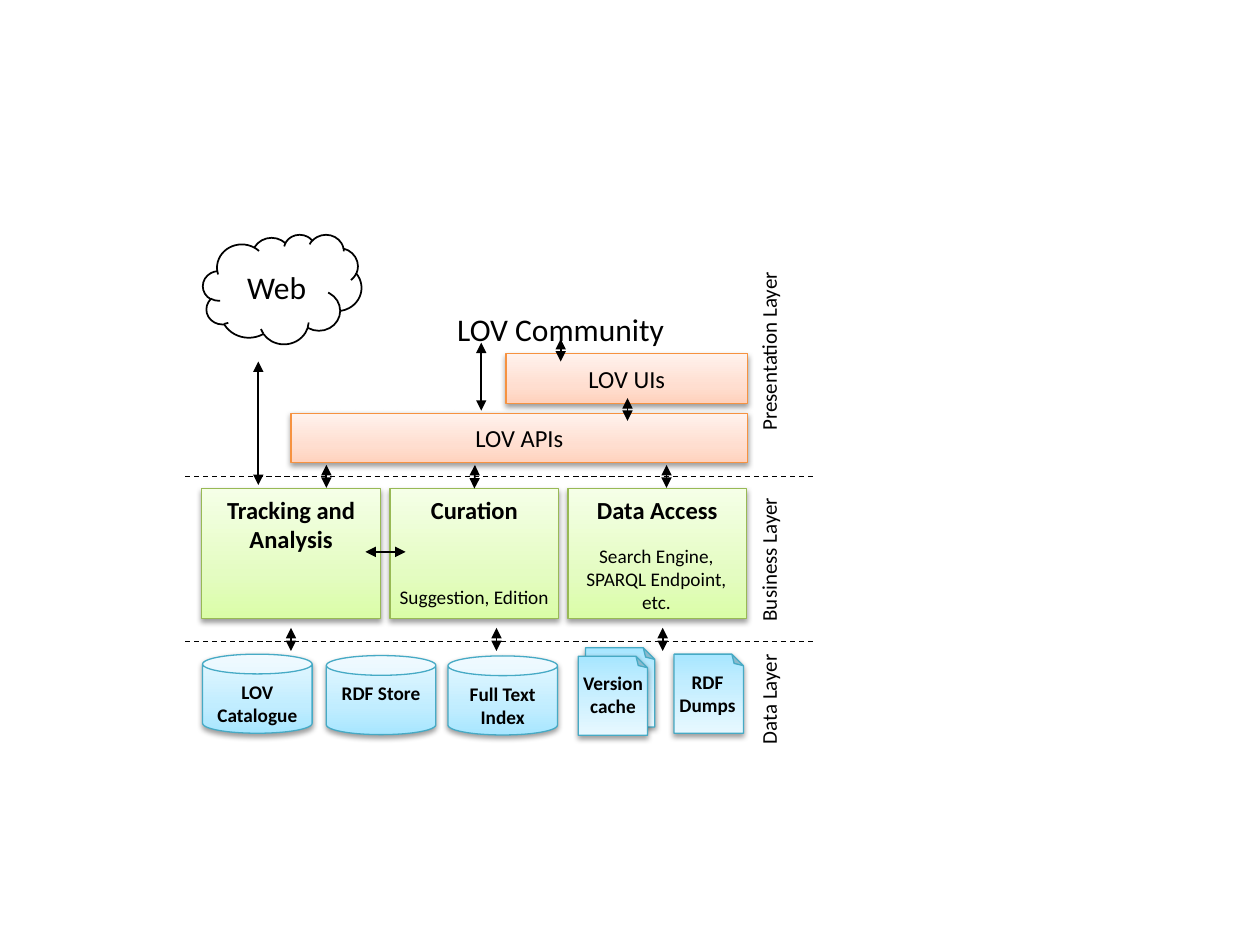
from copy import deepcopy

from pptx import Presentation
from pptx.dml.color import RGBColor
from pptx.enum.dml import MSO_LINE
from pptx.enum.shapes import MSO_CONNECTOR, MSO_SHAPE
from pptx.enum.text import MSO_ANCHOR, MSO_AUTO_SIZE, PP_ALIGN
from pptx.oxml import parse_xml
from pptx.oxml.ns import nsdecls, qn
from pptx.oxml.xmlchemy import OxmlElement
from pptx.util import Pt

COLORS = {"ink": "000000", "paper": "FFFFFF"}
LAYER_COLORS = {
    "presentation": {"line": "F69240", "stops": ["FFD2BD", "FFDED0", "FFF2ED"]},
    "business": {"line": "98B955", "stops": ["DAFDA7", "E4FCC2", "F5FFE7"]},
    "data": {"line": "46AAC5", "stops": ["A7E6FF", "C1EDFF", "E7F8FF"]},
}
STOP_POSITIONS = [0, 0.35, 1]
SHADOW = (
    f'<a:effectLst {nsdecls("a")}><a:outerShdw blurRad="40000" dist="20000" dir="5400000" '
    'rotWithShape="0"><a:srgbClr val="000000"><a:alpha val="38000"/></a:srgbClr>'
    "</a:outerShdw></a:effectLst>"
)
FORMATS = {
    "heading": {"name": "Calibri", "size": Pt(18), "bold": False},
    "interface": {"name": "Calibri", "size": Pt(14), "bold": False},
    "module": {"name": "Calibri", "size": Pt(14), "bold": True},
    "store": {"name": "Calibri", "size": Pt(11), "bold": True},
    "detail": {"name": "Calibri", "size": Pt(11), "bold": False},
    "layer": {"name": "Calibri", "size": Pt(12), "bold": False},
}

RIGHT_EDGE = 427.2
INTERFACES = [("LOV APIs", 236.2, 260.8), ("LOV UIs", 202.2, 138)]
MODULES = [
    (["Tracking and", "Analysis"], 102.4),
    (["Curation"], 96.4),
    (["Data Access"], 102),
]
MODULE_LEFT, MODULE_TOP, MODULE_HEIGHT, MODULE_GAP = 115.2, 279.2, 74.2, 5.3
STORES = [
    ("LOV Catalogue", 115.8, 373.8),
    ("RDF Store", 186.5, 374.6),
    ("Full Text Index", 256, 374.8),
]
STORE_SIZE = (62.6, 45.2)
DOCUMENTS = [
    (["RDF", "Dumps"], [(385.2, 373.8)], (380.7, 379.4, 47.2, 33.8)),
    (["Version cache"], [(334.6, 370.2), (330.4, 375)], (324.7, 380.2, 51.2, 33.8)),
]
PAGE_SIZE = (39.6, 45.2)
LAYERS = [
    ("Presentation Layer", 193.7, 118.8, PP_ALIGN.LEFT),
    ("Business Layer", 316.8, 90.7, PP_ALIGN.LEFT),
    ("Data Layer", 399.6, 67, PP_ALIGN.CENTER),
]
LAYER_CENTER, LAYER_HEIGHT = 439.2, 21.6
DETAILS = [
    (["Suggestion, Edition"], (221, 331.2, 100, 20.8), False),
    (["Search Engine,", "SPARQL Endpoint, etc."], (320.4, 307.4, 109.4, 47.5), True),
]
DIVIDERS = [272.2, 366.5]
DIVIDER_SPAN = (105.8, 465.8)
LINKS = [
    (231.8, 315.4, 208.8, 315.4),
    *[(x, 265.7, x, 278.8) for x in (186.5, 380.9)],
    *[(x, 358.8, x, 372) for x in (166.3, 283.7, 378.7)],
    (358.6, 227.5, 358.6, 240.5),
    (275, 195.8, 275, 234.7),
    (147.6, 277.2, 147.6, 206.6),
    (320.4, 193.7, 320.4, 206.6),
]
CURATION_LINK = (271.4, 265.7, 271.4, 279.2)


def rgb(value):
    return RGBColor.from_string(value)


def write(frame, lines, style, align=PP_ALIGN.CENTER, anchor=MSO_ANCHOR.TOP, wrap=True):
    frame.word_wrap = wrap
    frame.vertical_anchor = anchor
    for index, line in enumerate(lines):
        paragraph = frame.add_paragraph() if index else frame.paragraphs[0]
        paragraph.alignment = align
        run = paragraph.add_run()
        run.text = line
        for key, value in FORMATS[style].items():
            setattr(run.font, key, value)
        run.font.color.rgb = rgb(COLORS["ink"])


def add_label(canvas, bounds, lines, style, **options):
    label = canvas.add_textbox(*map(Pt, bounds))
    write(label.text_frame, lines, style, **options)
    label.text_frame.auto_size = MSO_AUTO_SIZE.SHAPE_TO_FIT_TEXT
    return label


def add_block(canvas, kind, bounds, layer):
    block = canvas.add_shape(kind, *map(Pt, bounds))
    colors = LAYER_COLORS[layer]
    block.fill.gradient()
    block.fill.gradient_angle = 90
    stop_list = block._element.spPr.find(qn("a:gradFill")).find(qn("a:gsLst"))
    stop_list.append(deepcopy(stop_list[-1]))
    for stop, color, position in zip(block.fill.gradient_stops, colors["stops"], STOP_POSITIONS):
        stop.color.rgb = rgb(color)
        stop.position = position
    block.line.color.rgb = rgb(colors["line"])
    block.line.width = Pt(0.75)
    block._element.spPr.append(parse_xml(SHADOW))
    return block


def add_line(canvas, ends, width, arrows=False):
    line = canvas.add_connector(MSO_CONNECTOR.STRAIGHT, *map(Pt, ends))
    line.line.color.rgb = rgb(COLORS["ink"])
    line.line.width = Pt(width)
    if arrows:
        for tag in ("a:headEnd", "a:tailEnd"):
            arrowhead = OxmlElement(tag)
            arrowhead.set("type", "triangle")
            line.line._get_or_add_ln().append(arrowhead)
    else:
        line.line.dash_style = MSO_LINE.DASH
    line._element.spPr.append(OxmlElement("a:effectLst"))
    return line


def main():
    """Build the layered architecture slide."""
    deck = Presentation()
    deck.slide_width, deck.slide_height = Pt(720), Pt(540)
    canvas = deck.slides.add_slide(deck.slide_layouts[6]).shapes

    for y in DIVIDERS:
        add_line(canvas, (DIVIDER_SPAN[0], y, DIVIDER_SPAN[1], y), 0.75)

    web = canvas.add_shape(MSO_SHAPE.CLOUD, *map(Pt, (116, 134, 90.6, 62.6)))
    web.shadow.inherit = False
    web.fill.solid()
    web.fill.fore_color.rgb = rgb(COLORS["paper"])
    web.line.color.rgb = rgb(COLORS["ink"])
    web.line.width = Pt(1)
    write(web.text_frame, ["Web"], "heading", anchor=MSO_ANCHOR.MIDDLE)
    add_label(canvas, (254.2, 173.5, 133.9, 29), ["LOV Community"], "heading",
              align=PP_ALIGN.LEFT, wrap=False)

    for name, top, width in INTERFACES:
        interface = add_block(canvas, MSO_SHAPE.RECTANGLE,
                              (RIGHT_EDGE - width, top, width, 28.2), "presentation")
        write(interface.text_frame, [name], "interface", anchor=MSO_ANCHOR.MIDDLE)

    modules = []
    left = MODULE_LEFT
    for lines, width in MODULES:
        module = add_block(canvas, MSO_SHAPE.RECTANGLE,
                           (left, MODULE_TOP, width, MODULE_HEIGHT), "business")
        write(module.text_frame, lines, "module")
        modules.append(module)
        left += width + MODULE_GAP

    for name, left, top in STORES:
        store = add_block(canvas, MSO_SHAPE.CAN, (left, top, *STORE_SIZE), "data")
        write(store.text_frame, [name], "store")

    for lines, pages, bounds in DOCUMENTS:
        document = canvas.add_group_shape().shapes
        for corner in pages:
            page = add_block(document, MSO_SHAPE.FOLDED_CORNER, (*corner, *PAGE_SIZE), "data")
            page._element.spPr.xfrm.set("flipV", "1")
        add_label(document, bounds, lines, "store")

    for name, middle, length, align in LAYERS:
        bounds = (LAYER_CENTER - length / 2, middle - LAYER_HEIGHT / 2, length, LAYER_HEIGHT)
        add_label(canvas, bounds, [name], "layer", align=align).rotation = 270

    for lines, bounds, wrap in DETAILS:
        add_label(canvas, bounds, lines, "detail", wrap=wrap)

    for ends in LINKS:
        add_line(canvas, ends, 1, arrows=True)
    add_line(canvas, CURATION_LINK, 1, arrows=True).end_connect(modules[1], 0)

    deck.save("out.pptx")


if __name__ == "__main__":
    main()
